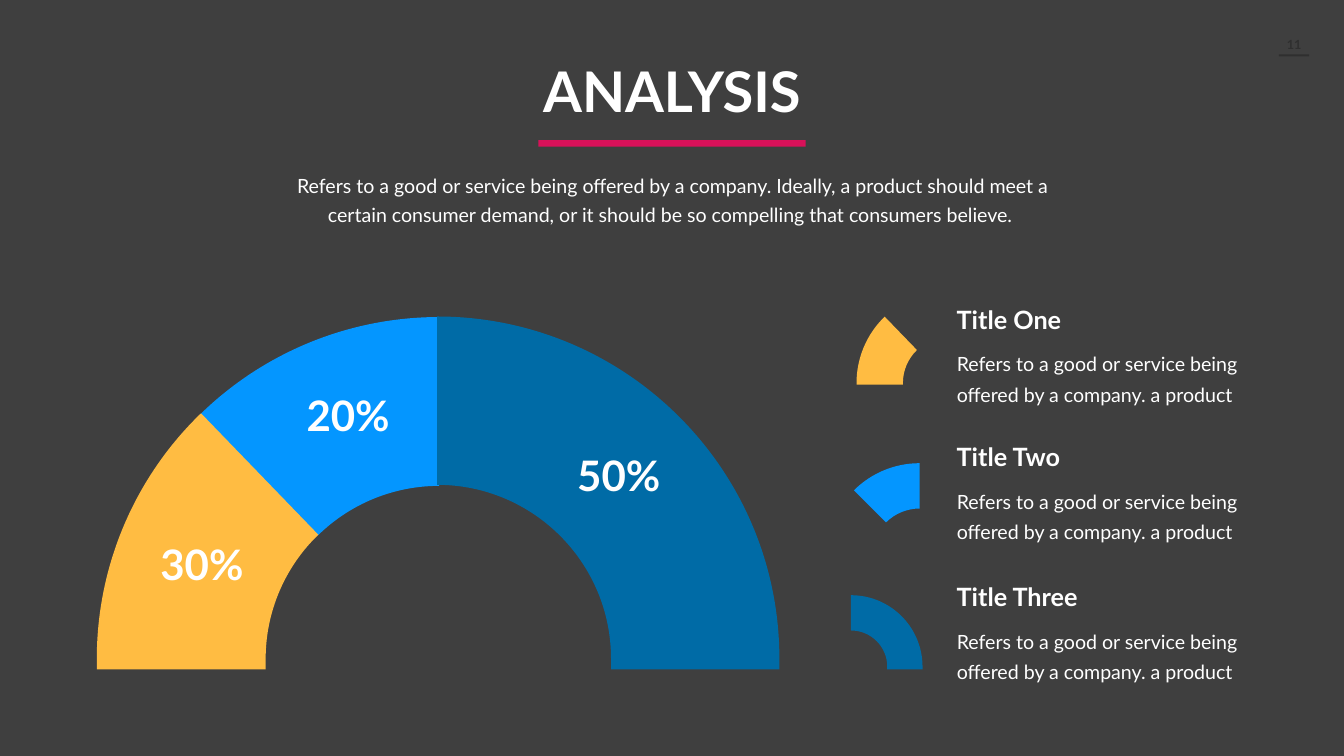
import math
from dataclasses import dataclass

import lxml.etree
import pptx
import pptx.dml.color
import pptx.enum.shapes
import pptx.enum.text
import pptx.oxml.ns
import pptx.util

Inches = pptx.util.Inches
Align = pptx.enum.text.PP_ALIGN
qn = pptx.oxml.ns.qn

COLOURS = {
    "background": "3F3F3F",
    "page_mark": "2F2F2F",
    "text": "FFFFFF",
    "accent": "D81159",
    "yellow": "FFBC42",
    "blue": "0496FF",
    "teal": "006BA6",
}
FONT = "Lato"
ITEM_TEXT = "Refers to a good or service being offered by a company. a product"
INTRO = (
    "Refers to a good or service being offered by a company. Ideally, a product should meet a "
    "certain consumer demand, or it should be so compelling that consumers believe. "
)


@dataclass
class RingSegment:
    centre_x: float
    centre_y: float
    outer: float
    inner: float
    start: float
    end: float
    colour: str
    foot: float = 0

    def point(self, radius: float, degrees: float, along: float = 0) -> tuple[int, int]:
        angle = math.radians(degrees)
        x = self.centre_x + radius * math.cos(angle) - along * math.sin(angle)
        y = self.centre_y - radius * math.sin(angle) - along * math.cos(angle)
        return Inches(x), Inches(y)

    def controls(self, radius: float, start: float, end: float) -> list[tuple[int, int]]:
        reach = radius * 4 / 3 * math.tan(math.radians(end - start) / 4)
        return [self.point(radius, start, reach), self.point(radius, end, -reach)]


@dataclass
class Share:
    label: str
    left: float
    top: float


@dataclass
class LegendItem:
    title: str
    top: float
    icon: RingSegment


GAUGE = [
    RingSegment(8.71, 13.07, 6.78, 3.43, 90, 134.4, "blue"),
    RingSegment(8.69, 13.07, 6.77, 3.42, 134, 180, "yellow", 0.21),
    RingSegment(8.67, 13.07, 6.79, 3.45, 0, 90, "teal", 0.21),
]
SHARES = [
    Share("30%", 2.47, 10.64),
    Share("20%", 5.37, 7.67),
    Share("50%", 10.74, 8.86),
]
LEGEND = [
    LegendItem("Title One", 5.98, RingSegment(18.82, 7.6, 1.83, 0.91, 134, 180, "yellow", 0.03)),
    LegendItem("Title Two", 8.71, RingSegment(18.24, 11.03, 1.84, 0.94, 90, 135, "blue")),
    LegendItem("Title Three", 11.48, RingSegment(16.88, 13.23, 1.42, 0.72, 0, 90, "teal", 0.05)),
]


def rgb(name: str) -> pptx.dml.color.RGBColor:
    return pptx.dml.color.RGBColor.from_string(COLOURS[name])


def paint(shape, colour: str) -> None:
    shape.shadow.inherit = False
    shape.fill.solid()
    shape.fill.fore_color.rgb = rgb(colour)
    shape.line.fill.background()


def write(box, text: str, size: float, bold: bool = False, align=Align.LEFT,
          spacing: float = 0, margin: float = 0.1, colour: str = "text") -> None:
    frame = box.text_frame
    frame.word_wrap = True
    frame.auto_size = pptx.enum.text.MSO_AUTO_SIZE.NONE
    frame.vertical_anchor = pptx.enum.text.MSO_ANCHOR.TOP
    frame.margin_left = frame.margin_right = Inches(margin)
    frame.margin_top = frame.margin_bottom = Inches(margin / 2)
    para = frame.paragraphs[0]
    para.alignment = align
    para.line_spacing = pptx.util.Pt(spacing) if spacing else 1.0
    span = para.add_run()
    span.text = text
    span.font.name = FONT
    span.font.size = pptx.util.Pt(size)
    span.font.bold = bold
    span.font.color.rgb = rgb(colour)


def add_text(page, left: float, top: float, width: float, height: float,
             text: str, size: float, **style) -> None:
    box = page.shapes.add_textbox(Inches(left), Inches(top), Inches(width), Inches(height))
    write(box, text, size, **style)


def add_bar(page, left: float, top: float, width: float, height: float, colour: str) -> None:
    bar = page.shapes.add_shape(
        pptx.enum.shapes.MSO_SHAPE.RECTANGLE,
        Inches(left), Inches(top), Inches(width), Inches(height),
    )
    paint(bar, colour)


def bend(shape, line, controls: list[tuple[int, int]]) -> None:
    line.tag = qn("a:cubicBezTo")
    for index, (x, y) in enumerate(controls):
        point = lxml.etree.Element(qn("a:pt"))
        point.set("x", str(x - shape.left))
        point.set("y", str(y - shape.top))
        line.insert(index, point)


def add_segment(page, ring: RingSegment) -> None:
    start, end = ring.start, ring.end
    corners = [
        ring.point(ring.outer, start), ring.point(ring.outer, end),
        ring.point(ring.inner, end), ring.point(ring.inner, start),
    ]
    foot_y = Inches(ring.centre_y + ring.foot)
    inner_curve = 2
    if ring.foot and end == 180:
        corners[2:2] = [(corners[1][0], foot_y), (corners[2][0], foot_y)]
        inner_curve = 4
    elif ring.foot:
        corners += [(corners[3][0], foot_y), (corners[0][0], foot_y)]
    builder = page.shapes.build_freeform(*corners[0])
    builder.add_line_segments(corners[1:], close=True)
    shape = builder.convert_to_shape()
    lines = list(shape.element.iter(qn("a:lnTo")))
    bend(shape, lines[0], ring.controls(ring.outer, start, end))
    bend(shape, lines[inner_curve], ring.controls(ring.inner, end, start))
    paint(shape, ring.colour)


def add_legend_item(page, item: LegendItem) -> None:
    add_segment(page, item.icon)
    add_text(page, 18.74, item.top + 0.76, 6.23, 1.43, ITEM_TEXT, 28, spacing=43, margin=0.24)
    add_text(page, 18.88, item.top, 5.14, 0.7, item.title, 36, bold=True)


def main() -> None:
    deck = pptx.Presentation()
    deck.slide_width = Inches(26.66)
    deck.slide_height = Inches(15)
    page = deck.slides.add_slide(deck.slide_layouts[5])
    page.background.fill.solid()
    page.background.fill.fore_color.rgb = rgb("background")

    title = page.shapes.title
    title.left, title.top = Inches(9.99), Inches(1.08)
    title.width, title.height = Inches(6.68), Inches(1.44)
    write(title, "ANALYSIS", 80, bold=True, align=Align.CENTER)

    add_bar(page, 25.37, 1.08, 0.6, 0.04, "page_mark")
    add_text(page, 25.17, 0.68, 1, 0.4, "11", 18, bold=True, align=Align.CENTER,
             colour="page_mark")
    add_text(page, 5.7, 3.31, 15.28, 1.23, INTRO, 28, align=Align.CENTER, spacing=40.7)
    add_bar(page, 10.68, 2.78, 5.3, 0.13, "accent")

    for segment in GAUGE:
        add_segment(page, segment)
    for item in LEGEND:
        add_legend_item(page, item)
    for share in SHARES:
        add_text(page, share.left, share.top, 3.07, 1.1, share.label, 60,
                 bold=True, align=Align.CENTER)

    deck.save("out.pptx")


if __name__ == "__main__":
    main()
